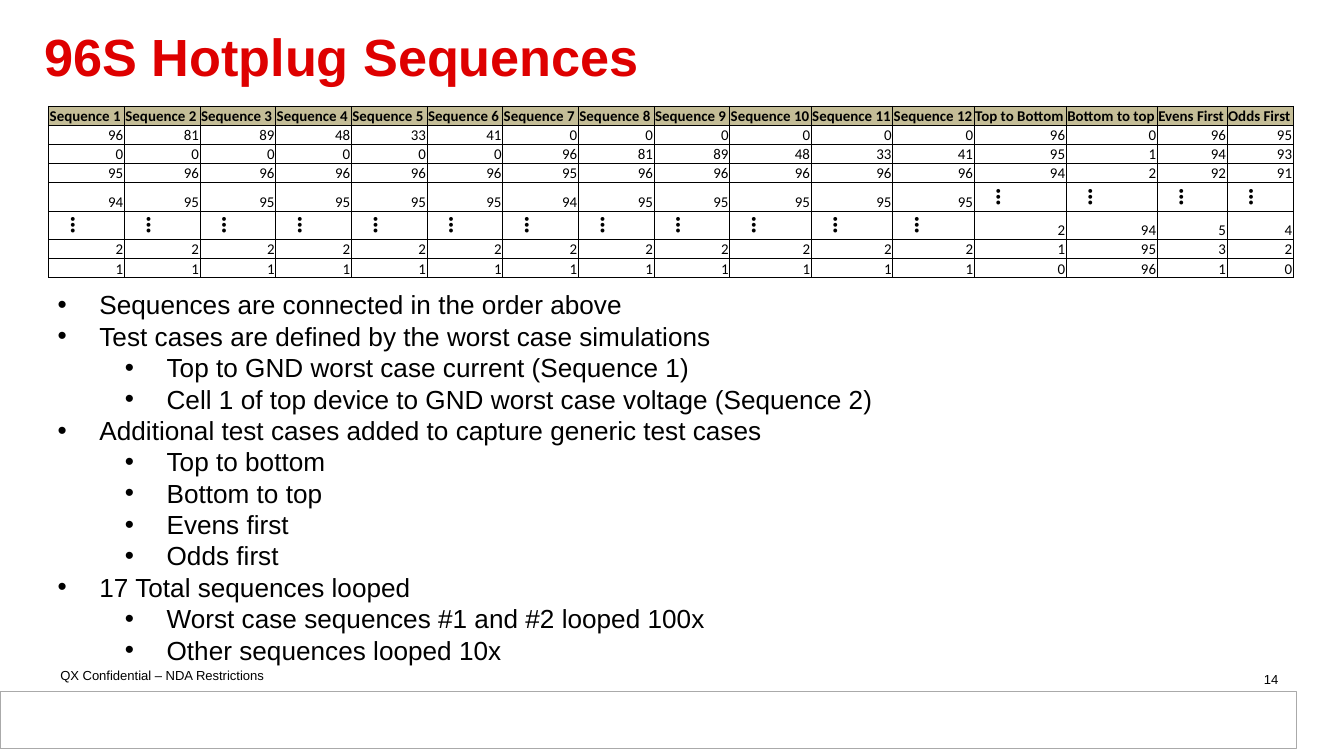
from lxml.etree import SubElement
from pptx import Presentation
from pptx.dml.color import RGBColor
from pptx.enum.shapes import MSO_SHAPE
from pptx.enum.text import MSO_ANCHOR as Anchor, PP_ALIGN as Align
from pptx.oxml.ns import qn
from pptx.util import Cm, Pt

BLACK = RGBColor(0x00, 0x00, 0x00)
WHITE = RGBColor(0xFF, 0xFF, 0xFF)
RED = RGBColor(0xDE, 0x00, 0x00)
GREY = RGBColor(0xAA, 0xAA, 0xAA)
TAN = RGBColor(0xC4, 0xBD, 0x97)

HEADERS = [f"Sequence {number}" for number in range(1, 13)] + [
    "Top to Bottom", "Bottom to top", "Evens First", "Odds First"]
ROWS = [
    "96 81 89 48 33 41 0 0 0 0 0 0 96 0 96 95".split(),
    "0 0 0 0 0 0 96 81 89 48 33 41 95 1 94 93".split(),
    "95 96 96 96 96 96 95 96 96 96 96 96 94 2 92 91".split(),
    "94 95 95 95 95 95 94 95 95 95 95 95 … … … …".split(),
    ["…"] * 12 + ["2", "94", "5", "4"],
    ["2"] * 12 + ["1", "95", "3", "2"],
    ["1"] * 12 + ["0", "96", "1", "0"],
]
COLUMN_WIDTHS = [1.43] * 9 + [1.54] * 3 + [1.74, 1.72, 1.32, 1.25]
BULLETS = [
    (0, "Sequences are connected in the order above"),
    (0, "Test cases are defined by the worst case simulations"),
    (1, "Top to GND worst case current (Sequence 1)"),
    (1, "Cell 1 of top device to GND worst case voltage (Sequence 2)"),
    (0, "Additional test cases added to capture generic test cases"),
    (1, "Top to bottom"),
    (1, "Bottom to top"),
    (1, "Evens first"),
    (1, "Odds first"),
    (0, "17 Total sequences looped"),
    (1, "Worst case sequences #1 and #2 looped 100x"),
    (1, "Other sequences looped 10x"),
]


class SlideWriter:
    text_font = "Arial"
    table_font = "Calibri"

    def __init__(self, page):
        self.page = page

    def style(self, para, size, color=BLACK, bold=False, name=text_font):
        font = para.font
        font.name, font.size, font.bold = name, Pt(size), bold
        font.color.rgb = color

    def frame(self, left, top, width, height, margins=(0.2, 0.1)):
        box = self.page.shapes.add_textbox(Cm(left), Cm(top), Cm(width), Cm(height))
        frame = box.text_frame
        frame.word_wrap = True
        frame.margin_left = frame.margin_right = Cm(margins[0])
        frame.margin_top = frame.margin_bottom = Cm(margins[1])
        return frame

    def text(self, area, text, size, color=BLACK, bold=False,
             align=Align.LEFT, anchor=Anchor.TOP, spacing=1.0):
        frame = self.frame(*area)
        frame.vertical_anchor = anchor
        para = frame.paragraphs[0]
        para.text, para.alignment, para.line_spacing = text, align, spacing
        self.style(para, size, color, bold)

    def bullets(self, area, items, size):
        frame = self.frame(*area, margins=(0.25, 0.13))
        for index, (level, text) in enumerate(items):
            para = frame.add_paragraph() if index else frame.paragraphs[0]
            para.text, para.level = text, level
            props = para._p.get_or_add_pPr()
            props.set("marL", str(Cm(0.79 + 1.27 * level)))
            props.set("indent", str(Cm(-0.79)))
            SubElement(props, qn("a:buFont"), typeface=self.text_font)
            SubElement(props, qn("a:buChar"), char="•")
            self.style(para, size)

    def bar(self, left, top, width, height):
        bar = self.page.shapes.add_shape(
            MSO_SHAPE.RECTANGLE, Cm(left), Cm(top), Cm(width), Cm(height))
        bar.shadow.inherit = False
        bar.fill.solid()
        bar.fill.fore_color.rgb = WHITE
        bar.line.color.rgb = GREY
        bar.line.width = Pt(0.75)

    def cell(self, cell, text, header):
        dots = text == "…"
        cell.margin_left = cell.margin_right = cell.margin_top = Cm(0.02)
        cell.margin_bottom = 0
        cell.vertical_anchor = Anchor.MIDDLE if dots else Anchor.BOTTOM
        para = cell.text_frame.paragraphs[0]
        para.text = text
        para.alignment = Align.LEFT if header else Align.CENTER if dots else Align.RIGHT
        self.style(para, 14 if dots else 8, bold=header or dots, name=self.table_font)
        props = cell._tc.get_or_add_tcPr()
        if dots:
            props.set("vert", "vert270")
        for side in ("lnL", "lnR", "lnT", "lnB"):
            line = SubElement(props, qn(f"a:{side}"), w=str(Pt(0.5)))
            fill = SubElement(line, qn("a:solidFill"))
            SubElement(fill, qn("a:srgbClr"), val=str(BLACK))
        if header:
            cell.fill.solid()
            cell.fill.fore_color.rgb = TAN
        else:
            cell.fill.background()

    def table(self, left, top, widths, rows):
        heights = [0.54 if "…" in row else 0.36 for row in rows]
        table = self.page.shapes.add_table(
            len(rows), len(widths), Cm(left), Cm(top),
            Cm(sum(widths)), Cm(sum(heights))).table
        table.first_row = table.horz_banding = False
        for column, width in zip(table.columns, widths):
            column.width = Cm(width)
        for index, (row, height) in enumerate(zip(rows, heights)):
            table.rows[index].height = Cm(height)
            for place, text in enumerate(row):
                self.cell(table.cell(index, place), text, index == 0)


def main():
    deck = Presentation()
    deck.slide_width, deck.slide_height = Cm(25.4), Cm(14.29)
    writer = SlideWriter(deck.slides.add_slide(deck.slide_layouts[6]))
    writer.text((0.94, 12.52, 5.87, 0.5), "QX Confidential – NDA Restrictions", 7)
    writer.bar(0, 13.07, 24.5, 1.08)
    writer.text((0.64, 0.3, 23.5, 1.7), "96S Hotplug Sequences", 28, RED, True,
                anchor=Anchor.MIDDLE, spacing=0.85)
    writer.text((18.44, 12.6, 5.92, 0.43), "14", 7, align=Align.RIGHT)
    writer.bullets((0.84, 5.33, 23.7, 7.44), BULLETS, 14)
    writer.table(0.92, 2.01, COLUMN_WIDTHS, [HEADERS] + ROWS)
    deck.save("out.pptx")


if __name__ == "__main__":
    main()
